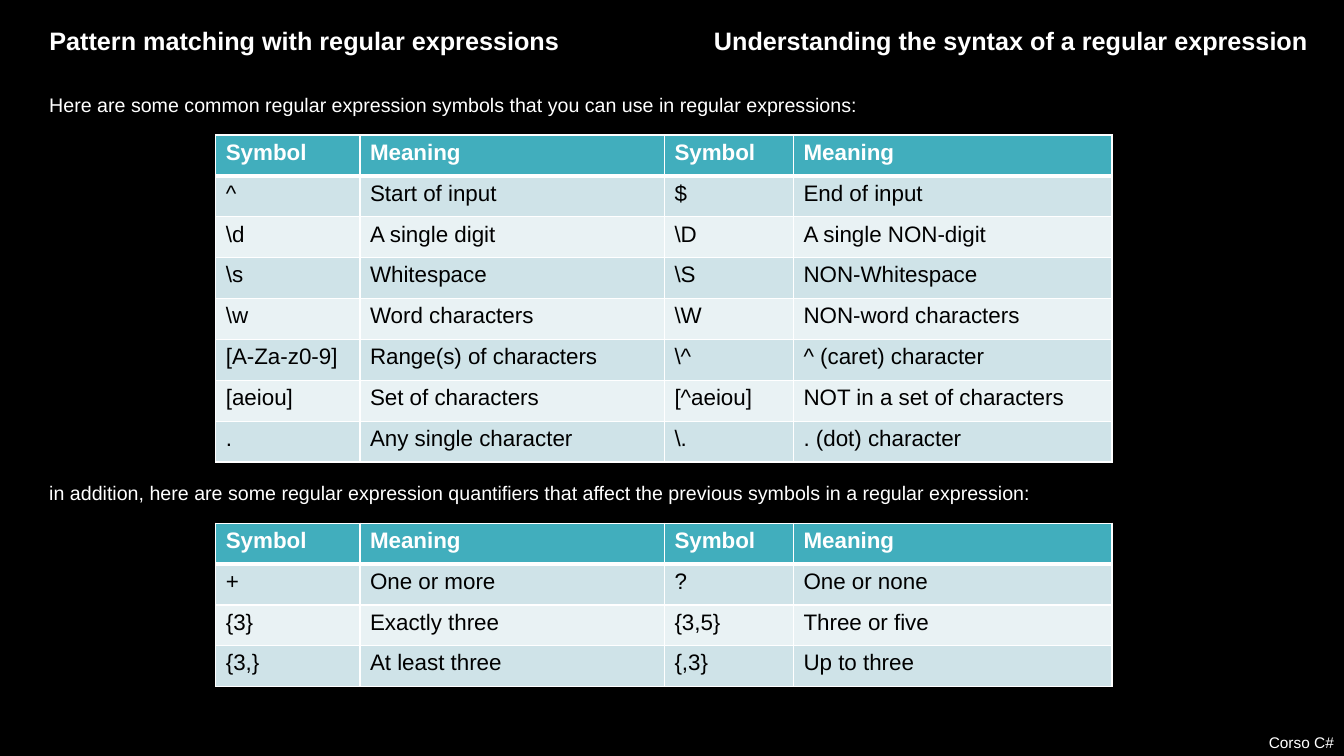
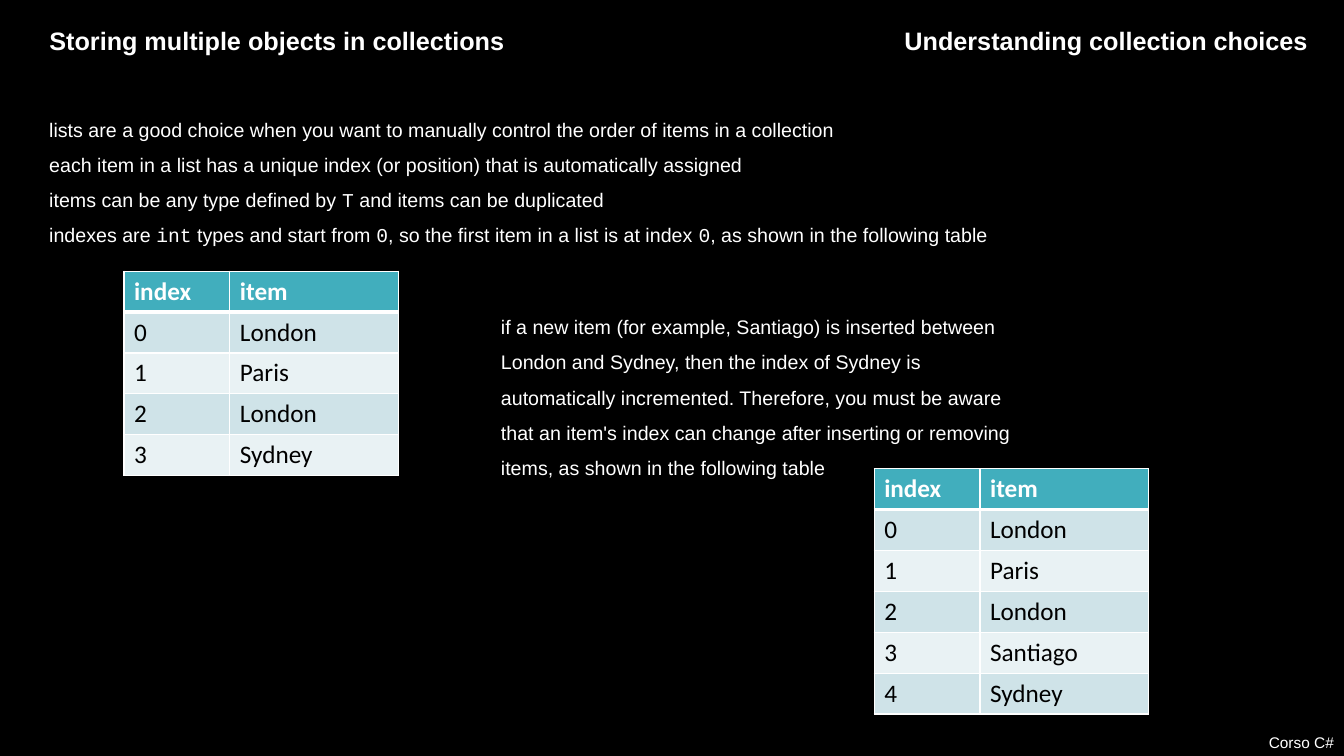
from dataclasses import dataclass

from lxml import etree
from pptx import Presentation
from pptx import util as u
from pptx.dml.color import RGBColor
from pptx.enum import text as t
from pptx.oxml import ns


@dataclass(frozen=True)
class Theme:
    back: str = "000000"
    light: str = "FFFFFF"
    dark: str = "000000"
    head: str = "41AEBD"
    bands: tuple = ("CFE3E8", "E9F2F4")
    sans: str = "Arial"
    mono: str = "Courier New"
    grid: str = "Calibri"
    title: int = 18
    body: int = 14
    cell: int = 16
    foot: int = 11
    row: float = 29.2
    thin: int = 1
    thick: int = 3
    left: float = 0.39
    wide: float = 12.27


THEME = Theme()
PAIRS = ["Symbol", "Meaning"] * 2
SYMBOLS = [
    PAIRS,
    ["^", "Start of input", "$", "End of input"],
    [r"\d", "A single digit", r"\D", "A single NON-digit"],
    [r"\s", "Whitespace", r"\S", "NON-Whitespace"],
    [r"\w", "Word characters", r"\W", "NON-word characters"],
    ["[A-Za-z0-9]", "Range(s) of characters", r"\^", "^ (caret) character"],
    ["[aeiou]", "Set of characters", "[^aeiou]", "NOT in a set of characters"],
    [".", "Any single character", r"\.", ". (dot) character"],
]
COUNTS = [
    PAIRS,
    ["+", "One or more", "?", "One or none"],
    ["{3}", "Exactly three", "{3,5}", "Three or five"],
    ["{3,}", "At least three", "{,3}", "Up to three"],
]
LISTS = [
    "lists are a good choice when you want to manually control the order of items in a collection",
    "each item in a list has a unique index (or position) that is automatically assigned",
    "items can be any type defined by `T` and items can be duplicated",
    "indexes are `int` types and start from `0`, so the first item in a list is at index `0`, "
    "as shown in the following table",
]
INSERT = (
    "if a new item (for example, Santiago) is inserted between London and Sydney, "
    "then the index of Sydney is automatically incremented. Therefore, you must be aware "
    "that an item's index can change after inserting or removing items, "
    "as shown in the following table"
)
CITIES = ["London", "Paris", "London", "Sydney"]


def write(frame, lines, size=THEME.body, font=THEME.sans, color=THEME.light,
          bold=False, align=t.PP_ALIGN.LEFT, space=None):
    lines = [lines] if isinstance(lines, str) else lines
    for i, line in enumerate(lines):
        para = frame.paragraphs[0] if i == 0 else frame.add_paragraph()
        para.alignment = align
        para.line_spacing = space
        for j, part in enumerate(line.split("`")):
            run = para.add_run()
            run.text = part
            run.font.name = THEME.mono if j % 2 else font
            run.font.size = u.Pt(size)
            run.font.bold = bold
            run.font.color.rgb = RGBColor.from_string(color)


def add_text(slide, lines, x, y, w, h, **style):
    box = slide.shapes.add_textbox(*map(u.Inches, (x, y, w, h)))
    box.text_frame.word_wrap = True
    write(box.text_frame, lines, **style)


def add_edge(cell, side, width):
    props = cell._tc.get_or_add_tcPr()
    line = etree.SubElement(props, ns.qn(f"a:ln{side}"), w=str(u.Pt(width)))
    fill = etree.SubElement(line, ns.qn("a:solidFill"))
    etree.SubElement(fill, ns.qn("a:srgbClr"), val=THEME.light)


def add_grid(slide, rows, x, y, cols, size=THEME.cell, font=THEME.sans):
    high = u.Pt(THEME.row)
    table = slide.shapes.add_table(
        len(rows), len(cols), u.Inches(x), u.Inches(y),
        u.Inches(sum(cols)), high * len(rows)).table
    table.horz_banding = False
    for col, width in zip(table.columns, cols):
        col.width = u.Inches(width)
    for r, row in enumerate(rows):
        table.rows[r].height = high
        head = r == 0
        for c, value in enumerate(row):
            cell = table.cell(r, c)
            for side in "LRTB":
                rule = (side, r) in (("B", 0), ("T", 1))
                add_edge(cell, side, THEME.thick if rule else THEME.thin)
            cell.fill.solid()
            shade = THEME.head if head else THEME.bands[(r - 1) % 2]
            cell.fill.fore_color.rgb = RGBColor.from_string(shade)
            write(cell.text_frame, value, size=size, font=font, bold=head,
                  color=THEME.light if head else THEME.dark)


def add_cities(slide, names, x, y):
    rows = [["index", "item"]] + [[str(i), name] for i, name in enumerate(names)]
    add_grid(slide, rows, x, y, (1.05, 1.67), size=THEME.title, font=THEME.grid)


def add_slide(deck, topic, theme):
    slide = deck.slides.add_slide(deck.slide_layouts.get_by_name("Title Only"))
    add_text(slide, "Corso C#", 0, 7.22, 13.33, 0.29,
             size=THEME.foot, align=t.PP_ALIGN.RIGHT)
    title = slide.shapes.title
    title.left, title.top, title.width, title.height = map(
        u.Inches, (THEME.left, 0.2, 6, 0.4))
    frame = title.text_frame
    frame.word_wrap = False
    frame.auto_size = t.MSO_AUTO_SIZE.NONE
    frame.vertical_anchor = t.MSO_ANCHOR.TOP
    write(frame, topic, size=THEME.title, bold=True)
    add_text(slide, theme, 6.67, 0.2, 6.4, 0.4,
             size=THEME.title, bold=True, align=t.PP_ALIGN.RIGHT)
    return slide


def add_syntax(deck):
    slide = add_slide(deck, "Pattern matching with regular expressions",
                      "Understanding the syntax of a regular expression")
    parts = (
        (0.87, 1.34, SYMBOLS, "Here are some common regular expression symbols "
         "that you can use in regular expressions:"),
        (4.72, 5.19, COUNTS, "in addition, here are some regular expression quantifiers "
         "that affect the previous symbols in a regular expression:"),
    )
    for top, y, rows, intro in parts:
        add_text(slide, intro, THEME.left, top, THEME.wide, 0.34)
        add_grid(slide, rows, 2.14, y, (1.43, 3.02, 1.28, 3.16))


def add_choice(deck):
    slide = add_slide(deck, "Storing multiple objects in collections",
                      "Understanding collection choices")
    add_text(slide, LISTS, THEME.left, 1, THEME.wide, 1.47, space=1.5)
    add_cities(slide, CITIES, 1.23, 2.69)
    add_text(slide, INSERT, 4.87, 2.96, 5.38, 1.82, space=1.5)
    add_cities(slide, CITIES[:3] + ["Santiago"] + CITIES[3:], 8.67, 4.65)


def main():
    deck = Presentation()
    deck.slide_width, deck.slide_height = u.Inches(13.33), u.Inches(7.5)
    fill = deck.slide_master.background.fill
    fill.solid()
    fill.fore_color.rgb = RGBColor.from_string(THEME.back)
    add_syntax(deck)
    add_choice(deck)
    deck.save("out.pptx")


if __name__ == "__main__":
    main()
